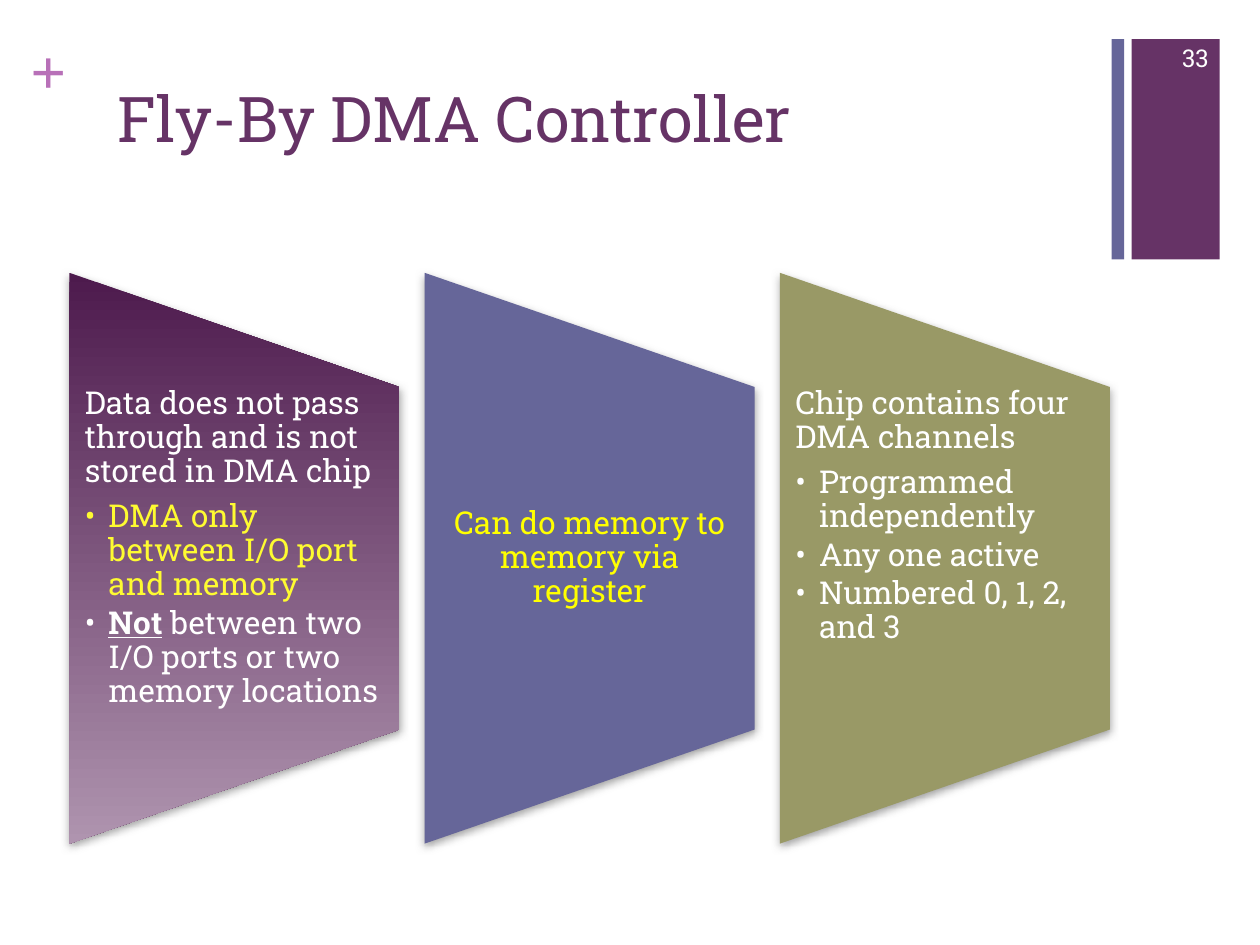
from lxml.etree import SubElement
from pptx import Presentation
from pptx.dml.color import RGBColor
from pptx.enum.shapes import MSO_SHAPE
from pptx.enum.text import MSO_ANCHOR, PP_ALIGN
from pptx.oxml.ns import qn
from pptx.util import Pt

COLORS = {
    "plum": "663366", "dark_plum": "4D1A4D", "light_plum": "AF94AF",
    "orchid": "B870B8", "slate": "666699", "olive": "999966",
    "white": "FFFFFF", "lemon": "FEFB31", "yellow": "FFFF00", "shadow": "808080",
}
FONT = "Roboto Slab"
PANEL_LEFT, PANEL_TOP, PANEL_PITCH = 39.6, 155.9, 203
PANEL_WIDTH, PANEL_HEIGHT = 188.6, 326.2
TEXT_TOP, TEXT_HEIGHT = 221.2, 195.8


def rgb(name):
    return RGBColor.from_string(COLORS[name])


def add_text(paragraph, text, size=18, color="white", font=FONT, bold=False, underline=False):
    run = paragraph.add_run()
    run.text = text
    run.font.name = font
    run.font.size = Pt(size)
    run.font.bold = bold
    run.font.underline = underline
    run.font.color.rgb = rgb(color)


class SlideBuilder:
    def __init__(self, slide):
        self.slide = slide

    def title(self, text, left, top, width, height):
        shape = self.slide.shapes.title
        shape.left, shape.top, shape.width, shape.height = Pt(left), Pt(top), Pt(width), Pt(height)
        shape.text_frame.vertical_anchor = MSO_ANCHOR.TOP
        paragraph = shape.text_frame.paragraphs[0]
        paragraph.alignment = PP_ALIGN.LEFT
        add_text(paragraph, text, size=36, color="plum")

    def shape(self, kind, left, top, width, height, color):
        shape = self.slide.shapes.add_shape(kind, Pt(left), Pt(top), Pt(width), Pt(height))
        shape.shadow.inherit = False
        shape.line.fill.background()
        shape.fill.solid()
        shape.fill.fore_color.rgb = rgb(color)
        return shape

    def text_box(self, left, top, width, height, anchor=MSO_ANCHOR.TOP, side=7.2, edge=3.6):
        box = self.slide.shapes.add_textbox(Pt(left), Pt(top), Pt(width), Pt(height))
        frame = box.text_frame
        frame.word_wrap = True
        frame.vertical_anchor = anchor
        frame.margin_left = frame.margin_right = Pt(side)
        frame.margin_top = frame.margin_bottom = Pt(edge)
        return frame

    def label(self, text, left, top, width, height, alignment=PP_ALIGN.LEFT,
              anchor=MSO_ANCHOR.TOP, side=7.2, edge=3.6, **style):
        frame = self.text_box(left, top, width, height, anchor, side, edge)
        frame.paragraphs[0].alignment = alignment
        add_text(frame.paragraphs[0], text, **style)

    def trapezoid(self, left, color, gradient_end=None):
        shape = self.shape(
            MSO_SHAPE.FLOWCHART_MANUAL_OPERATION,
            left + (PANEL_WIDTH - PANEL_HEIGHT) / 2, PANEL_TOP + (PANEL_HEIGHT - PANEL_WIDTH) / 2,
            PANEL_HEIGHT, PANEL_WIDTH, color)
        shape.rotation = 270
        properties = shape._element.spPr
        if gradient_end:
            shape.fill.gradient()
            shape.fill.gradient_angle = 270
            for stop, position, name in zip(shape.fill.gradient_stops, (0, 1), (color, gradient_end)):
                stop.position = position
                stop.color.rgb = rgb(name)
            properties.find(qn("a:gradFill")).set("rotWithShape", "0")
        shadow = SubElement(
            properties.find(qn("a:effectLst")), qn("a:outerShdw"),
            blurRad=str(Pt(5)), dist=str(Pt(2)), dir="5400000", rotWithShape="0")
        shadow_color = SubElement(shadow, qn("a:srgbClr"), val=COLORS["shadow"])
        SubElement(shadow_color, qn("a:alpha"), val="75000")

    def panel_text(self, left, heading, bullets, color="white"):
        anchor = MSO_ANCHOR.TOP if bullets else MSO_ANCHOR.MIDDLE
        frame = self.text_box(left, TEXT_TOP, PANEL_WIDTH, TEXT_HEIGHT, anchor, 8.9, 0)
        paragraph = frame.paragraphs[0]
        paragraph.alignment = PP_ALIGN.LEFT if bullets else PP_ALIGN.CENTER
        paragraph.line_spacing = 0.9
        paragraph.space_after = Pt(6.3)
        add_text(paragraph, heading, color=color)
        for runs in bullets:
            self.bullet(frame.add_paragraph(), runs)

    def bullet(self, paragraph, runs):
        paragraph.level = 1
        paragraph.line_spacing = 0.9
        paragraph.space_after = Pt(2.7)
        properties = paragraph._p.get_or_add_pPr()
        properties.set("marL", str(Pt(13.5)))
        properties.set("indent", str(-Pt(13.5)))
        SubElement(properties, qn("a:buFont"), typeface=FONT)
        SubElement(properties, qn("a:buChar"), char="•")
        for text, style in runs:
            add_text(paragraph, text, **style)


def main():
    presentation = Presentation()
    presentation.slide_width, presentation.slide_height = Pt(720), Pt(540)
    builder = SlideBuilder(presentation.slides.add_slide(presentation.slide_layouts[5]))

    builder.shape(MSO_SHAPE.RECTANGLE, 646.6, 22.3, 50.4, 126, "plum")
    builder.label("+", 17.3, 18, 20.9, 43.9, side=0, edge=0,
                  size=36, color="orchid", font="Times New Roman", bold=True)
    builder.shape(MSO_SHAPE.RECTANGLE, 635.2, 22.3, 7.2, 126, "slate")
    builder.title("Fly-By DMA Controller", 59.8, 41.8, 594.7, 87.8)

    panels = [
        ("dark_plum", "light_plum", "white", "Data does not pass through and is not stored in DMA chip", [
            [("DMA only between I/O port and memory", {"color": "lemon"})],
            [("Not", {"bold": True, "underline": True}),
             (" between two I/O ports or two memory locations", {})],
        ]),
        ("slate", None, "yellow", "Can do memory to memory via register", []),
        ("olive", None, "white", "Chip contains four DMA channels", [
            [("Programmed independently", {})],
            [("Any one active", {})],
            [("Numbered 0, 1, 2, and 3", {})],
        ]),
    ]
    for index, (color, gradient_end, text_color, heading, bullets) in enumerate(panels):
        left = PANEL_LEFT + index * PANEL_PITCH
        builder.trapezoid(left, color, gradient_end)
        builder.panel_text(left, heading, bullets, text_color)

    builder.label("33", 653.8, 18.7, 43.9, 28.8, PP_ALIGN.RIGHT, MSO_ANCHOR.MIDDLE, size=14)
    presentation.save("out.pptx")


if __name__ == "__main__":
    main()
